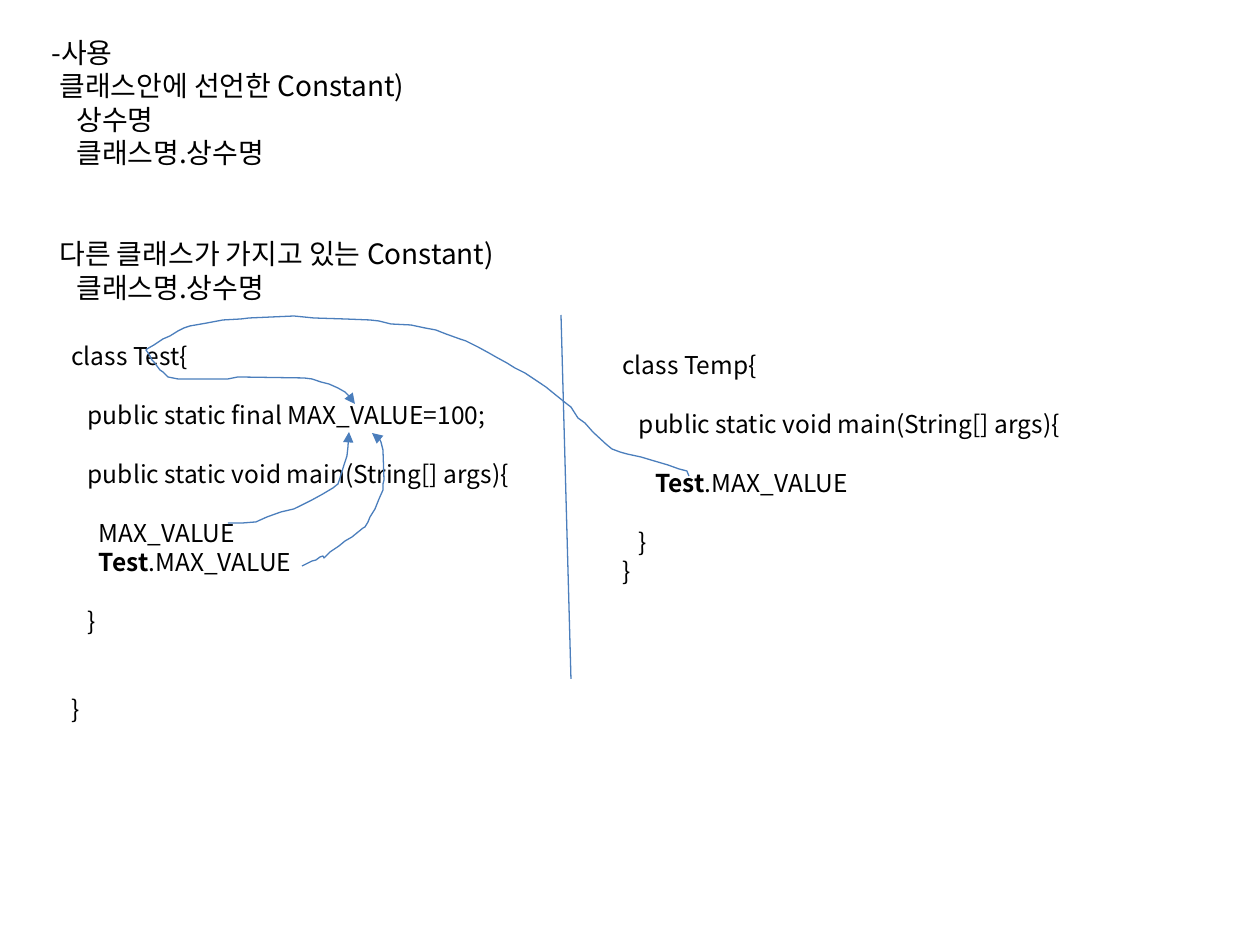
import pptx
import pptx.dml.color
import pptx.enum.shapes
import pptx.enum.text
import pptx.oxml
import pptx.oxml.ns
import pptx.util

SCALE = 914400 / 126
FONT = "Noto Sans CJK KR"
BLACK = pptx.dml.color.RGBColor(0x00, 0x00, 0x00)
BLUE = pptx.dml.color.RGBColor(0x4B, 0x7E, 0xBC)
PITCH = 1.2  # line height per point of text size

# Each line: blank lines above, indent in px, text
USAGE = [
    (0, 0, "-사용"),
    (0, 8, "클래스안에 선언한 Constant)"),
    (0, 25, "상수명"),
    (0, 25, "클래스명.상수명"),
    (2, 8, "다른 클래스가 가지고 있는 Constant)"),
    (0, 25, "클래스명.상수명"),
]
# Code keeps its own leading spaces; ** marks bold
TEST = [
    (0, 0, "class Test{"),
    (1, 0, "   public static final MAX_VALUE=100;"),
    (1, 0, "   public static void main(String[] args){"),
    (1, 0, "     MAX_VALUE"),
    (0, 0, "     **Test**.MAX_VALUE"),
    (1, 0, "   }"),
    (2, 0, "}"),
]
TEMP = [
    (0, 0, "class Temp{"),
    (1, 0, "   public static void main(String[] args){"),
    (1, 0, "      **Test**.MAX_VALUE"),
    (1, 0, "   }"),
    (0, 0, "}"),
]

PLAIN_USE = [
    (228, 523), (243, 523), (256, 522), (267, 517), (281, 512), (294, 509),
    (302, 505), (312, 500), (323, 494), (333, 488), (338, 484), (341, 475),
    (344, 465), (347, 456), (348, 447), (349, 432),
]
CLASS_USE = [
    (302, 566), (312, 561), (316, 560), (320, 557), (323, 556), (324, 558),
    (330, 552), (339, 546), (345, 541), (352, 537), (363, 528), (365, 527),
    (368, 522), (370, 517), (375, 509), (377, 504), (379, 499), (383, 490),
    (383, 484), (384, 480), (383, 450), (382, 446), (381, 442), (379, 438),
    (377, 437), (373, 433), (372, 433),
]
OTHER_USE = [
    (689, 476), (687, 471), (679, 469), (668, 465), (651, 460), (641, 457),
    (627, 454), (620, 452), (612, 449), (606, 444), (593, 432), (585, 423),
    (578, 418), (571, 407), (567, 404), (557, 396), (546, 387), (534, 379),
    (525, 373), (515, 368), (507, 363), (496, 357), (489, 353), (478, 347),
    (466, 341), (460, 339), (446, 334), (436, 330), (425, 328), (411, 325),
    (391, 324), (379, 321), (370, 320), (345, 319), (314, 318), (294, 316),
    (249, 318), (241, 319), (223, 320), (207, 323), (190, 326), (184, 328),
    (178, 331), (170, 336), (163, 339), (154, 345), (147, 349), (146, 350),
    (149, 354), (152, 360), (154, 362), (160, 370), (163, 372), (168, 377),
    (173, 378), (178, 379), (228, 379), (238, 377), (304, 378), (312, 379),
    (321, 382), (329, 384), (338, 388), (345, 392), (349, 396), (350, 398),
    (354, 402), (355, 404),
]


def px(n):
    return pptx.util.Emu(round(n * SCALE))


def add_child(parent, tag, **attrs):
    child = pptx.oxml.parse_xml(f"<{tag} {pptx.oxml.ns.nsdecls('a')}/>")
    for key, value in attrs.items():
        child.set(key, value)
    parent.append(child)


def add_text(slide, box, size, lines):
    frame = slide.shapes.add_textbox(*map(px, box)).text_frame
    frame.word_wrap = False
    frame.auto_size = pptx.enum.text.MSO_AUTO_SIZE.SHAPE_TO_FIT_TEXT
    for i, (gap, indent, text) in enumerate(lines):
        para = frame.add_paragraph() if i else frame.paragraphs[0]
        if gap:
            para.space_before = pptx.util.Pt(round(gap * size * PITCH, 1))
        font = para.font
        font.name = FONT
        font.size = pptx.util.Pt(size)
        font.color.rgb = BLACK
        props = para._p.get_or_add_pPr()
        props.set("marL", str(px(indent)))
        add_child(props.find(pptx.oxml.ns.qn("a:defRPr")), "a:ea", typeface=FONT)
        for j, part in enumerate(text.split("**")):
            run = para.add_run()
            run.text = part
            if j % 2:
                run.font.bold = True


def style_line(line):
    line.color.rgb = BLUE
    line.width = pptx.util.Pt(0.75)


def add_rule(slide, *ends):
    rule = slide.shapes.add_connector(
        pptx.enum.shapes.MSO_CONNECTOR.STRAIGHT, *map(px, ends))
    style_line(rule.line)
    add_child(rule._element.spPr, "a:effectLst")


def add_arrow(slide, points):
    """Draw an open hand-drawn stroke with an arrowhead at its last point."""
    build = slide.shapes.build_freeform(*points[0], scale=SCALE)
    build.add_line_segments(points[1:], close=False)
    stroke = build.convert_to_shape()
    stroke.shadow.inherit = False
    stroke.fill.background()
    style_line(stroke.line)
    add_child(stroke.line._get_or_add_ln(), "a:tailEnd", type="triangle")


def main():
    deck = pptx.Presentation()
    deck.slide_width, deck.slide_height = px(1260), px(945)
    slide = deck.slides.add_slide(deck.slide_layouts[6])
    add_text(slide, (39, 29, 509, 285), 16, USAGE)
    add_text(slide, (59, 335, 465, 398), 14, TEST)
    add_rule(slide, 561, 315, 571, 679)
    add_text(slide, (610, 344, 465, 251), 14, TEMP)
    for points in (PLAIN_USE, CLASS_USE, OTHER_USE):
        add_arrow(slide, points)
    deck.save("out.pptx")


if __name__ == "__main__":
    main()
